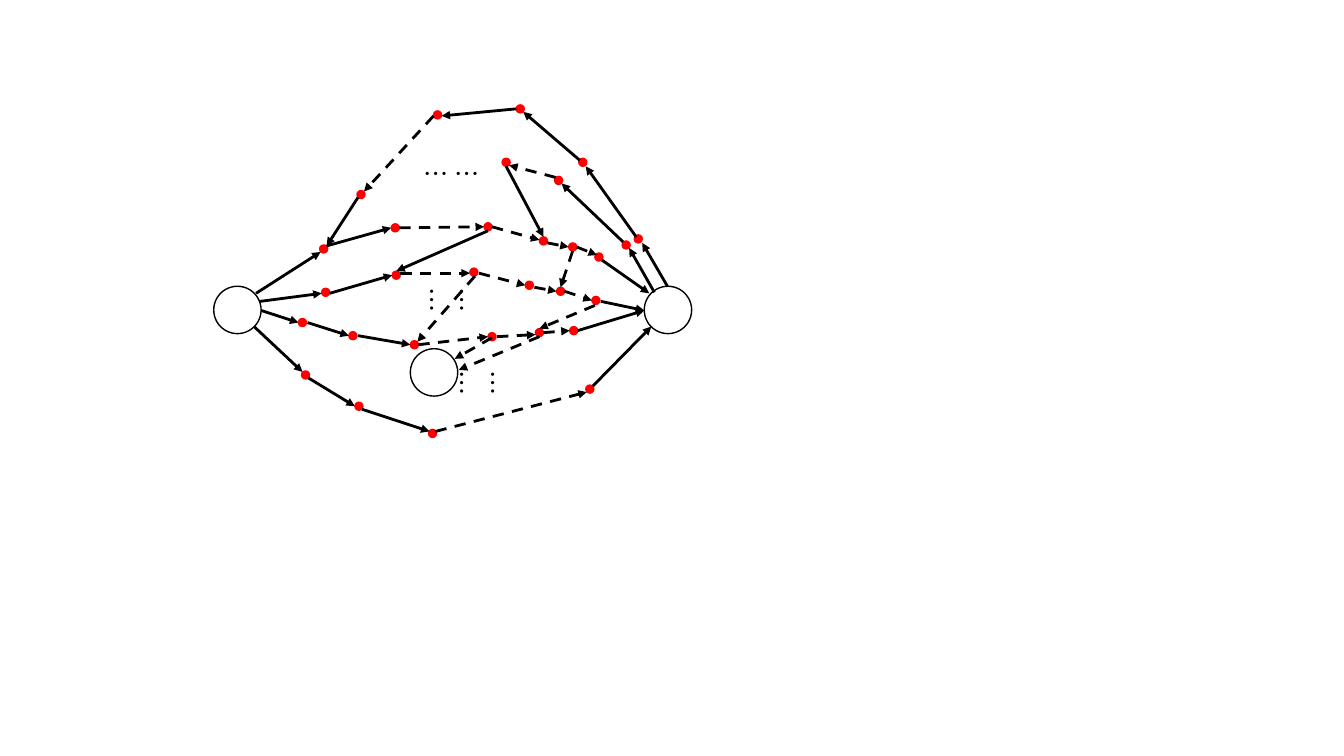
import dataclasses

import lxml.etree
import pptx
import pptx.dml.color
import pptx.enum.dml
import pptx.enum.shapes
import pptx.enum.text
import pptx.oxml.ns
import pptx.util

Inches = pptx.util.Inches
Pt = pptx.util.Pt
qn = pptx.oxml.ns.qn


@dataclasses.dataclass(frozen=True)
class Theme:
    ink: str = "000000"
    node: str = "FF0000"
    font: str = "Noto Sans CJK SC"
    text_size: int = 18
    outline: float = 1
    arrow: float = 2
    node_size: float = 0.08
    hub_size: float = 0.47


class Diagram:
    def __init__(self, page, theme):
        self.page = page
        self.theme = theme

    def color(self, value):
        return pptx.dml.color.RGBColor.from_string(value)

    def circle(self, left, top, size, line, fill=None):
        shape = self.page.shapes.add_shape(
            pptx.enum.shapes.MSO_SHAPE.OVAL,
            Inches(left), Inches(top), Inches(size), Inches(size))
        shape.shadow.inherit = False
        if fill:
            shape.fill.solid()
            shape.fill.fore_color.rgb = self.color(fill)
        else:
            shape.fill.background()
        shape.line.color.rgb = self.color(line)
        shape.line.width = Pt(self.theme.outline)

    def hub(self, left, top):
        self.circle(left, top, self.theme.hub_size, self.theme.ink)

    def node(self, left, top):
        self.circle(left, top, self.theme.node_size, self.theme.node, self.theme.node)

    def arrow(self, start_x, start_y, end_x, end_y, dashed=False):
        link = self.page.shapes.add_connector(
            pptx.enum.shapes.MSO_CONNECTOR.STRAIGHT,
            Inches(start_x), Inches(start_y), Inches(end_x), Inches(end_y))
        link.line.color.rgb = self.color(self.theme.ink)
        link.line.width = Pt(self.theme.arrow)
        if dashed:
            link.line.dash_style = pptx.enum.dml.MSO_LINE.DASH
        properties = link.element.spPr
        outline = properties.find(qn("a:ln"))
        lxml.etree.SubElement(outline, qn("a:tailEnd"), type="triangle")
        lxml.etree.SubElement(properties, qn("a:effectLst"))

    def ellipsis(self, left, top, width, height, vertical=False):
        box = self.page.shapes.add_textbox(
            Inches(left), Inches(top), Inches(width), Inches(height))
        frame = box.text_frame
        frame.word_wrap = True
        frame.auto_size = pptx.enum.text.MSO_AUTO_SIZE.SHAPE_TO_FIT_TEXT
        frame.text = "… …"
        if vertical:
            box.element.find(qn("p:txBody")).find(qn("a:bodyPr")).set("vert", "eaVert")
        span = frame.paragraphs[0].runs[0]
        span.font.size = Pt(self.theme.text_size)
        span.font.name = self.theme.font
        span.font.color.rgb = self.color(self.theme.ink)
        latin = span.font._element.find(qn("a:latin"))
        latin.addnext(latin.makeelement(qn("a:ea"), {"typeface": self.theme.font}))


HUBS = [(2.12, 2.84), (6.39, 2.84), (4.07, 3.46)]

NODES = [
    (6.29, 2.33), (5.74, 1.57), (5.12, 1.04), (4.3, 1.1), (3.54, 1.89),
    (6.17, 2.39), (5.5, 1.75), (4.98, 1.57),
    (3.17, 2.43), (3.88, 2.22), (4.8, 2.21), (5.35, 2.35), (5.64, 2.41), (5.9, 2.51),
    (3.19, 2.86), (3.89, 2.69), (4.66, 2.66), (5.21, 2.79), (5.52, 2.85), (5.87, 2.94),
    (2.96, 3.16), (3.46, 3.29), (4.07, 3.38), (4.84, 3.3), (5.31, 3.26), (5.65, 3.24),
    (2.99, 3.68), (3.52, 3.99), (4.25, 4.26), (5.81, 3.82),
]

SOLID_ARROWS = [
    (6.62, 2.84, 6.37, 2.41), (6.31, 2.35, 5.81, 1.65), (5.75, 1.59, 5.19, 1.11),
    (5.12, 1.08, 4.38, 1.15), (3.55, 1.96, 3.24, 2.44),
    (6.49, 2.9, 6.24, 2.46), (6.18, 2.4, 5.57, 1.82), (5.02, 1.65, 5.39, 2.35),
    (2.54, 2.91, 3.18, 2.5), (3.24, 2.44, 3.88, 2.26), (5.97, 2.58, 6.44, 2.91),
    (4.84, 2.29, 3.93, 2.69),
    (2.58, 2.99, 3.19, 2.91), (3.27, 2.91, 3.89, 2.73), (5.96, 2.99, 6.39, 3.08),
    (2.59, 3.08, 2.96, 3.2), (3.05, 3.2, 3.46, 3.33), (3.55, 3.33, 4.07, 3.42),
    (5.73, 3.28, 6.39, 3.08),
    (2.52, 3.24, 3, 3.69), (3.06, 3.75, 3.52, 4.03), (3.59, 4.06, 4.26, 4.28),
    (5.88, 3.83, 6.46, 3.24),
]

DASHED_ARROWS = [
    (4.3, 1.15, 3.61, 1.9), (5.51, 1.76, 5.05, 1.64),
    (3.96, 2.26, 4.8, 2.25), (4.88, 2.25, 5.35, 2.38), (5.43, 2.41, 5.64, 2.45),
    (5.72, 2.45, 5.92, 2.53), (5.68, 2.49, 5.56, 2.85),
    (3.97, 2.71, 4.66, 2.71), (4.75, 2.71, 5.21, 2.83), (5.3, 2.85, 5.52, 2.89),
    (5.6, 2.89, 5.87, 2.98), (4.71, 2.74, 4.14, 3.39), (5.9, 3.03, 5.35, 3.26),
    (4.15, 3.42, 4.84, 3.34), (4.93, 3.34, 5.31, 3.32), (5.39, 3.3, 5.65, 3.28),
    (4.88, 3.35, 4.51, 3.56), (5.35, 3.34, 4.55, 3.67),
    (4.32, 4.28, 5.82, 3.89),
]


def main():
    deck = pptx.Presentation()
    deck.slide_width = Inches(13.33)
    deck.slide_height = Inches(7.5)
    page = deck.slides.add_slide(deck.slide_layouts[6])
    diagram = Diagram(page, Theme())

    for hub in HUBS:
        diagram.hub(*hub)
    for node in NODES:
        diagram.node(*node)
    for ends in SOLID_ARROWS:
        diagram.arrow(*ends)
    for ends in DASHED_ARROWS:
        diagram.arrow(*ends, dashed=True)

    diagram.ellipsis(4.1, 1.52, 0.84, 0.4)
    for left, top in [(4.29, 2.75), (4.59, 3.58)]:
        diagram.ellipsis(left, top, 0.5, 0.55, vertical=True)

    deck.save("out.pptx")


if __name__ == "__main__":
    main()
